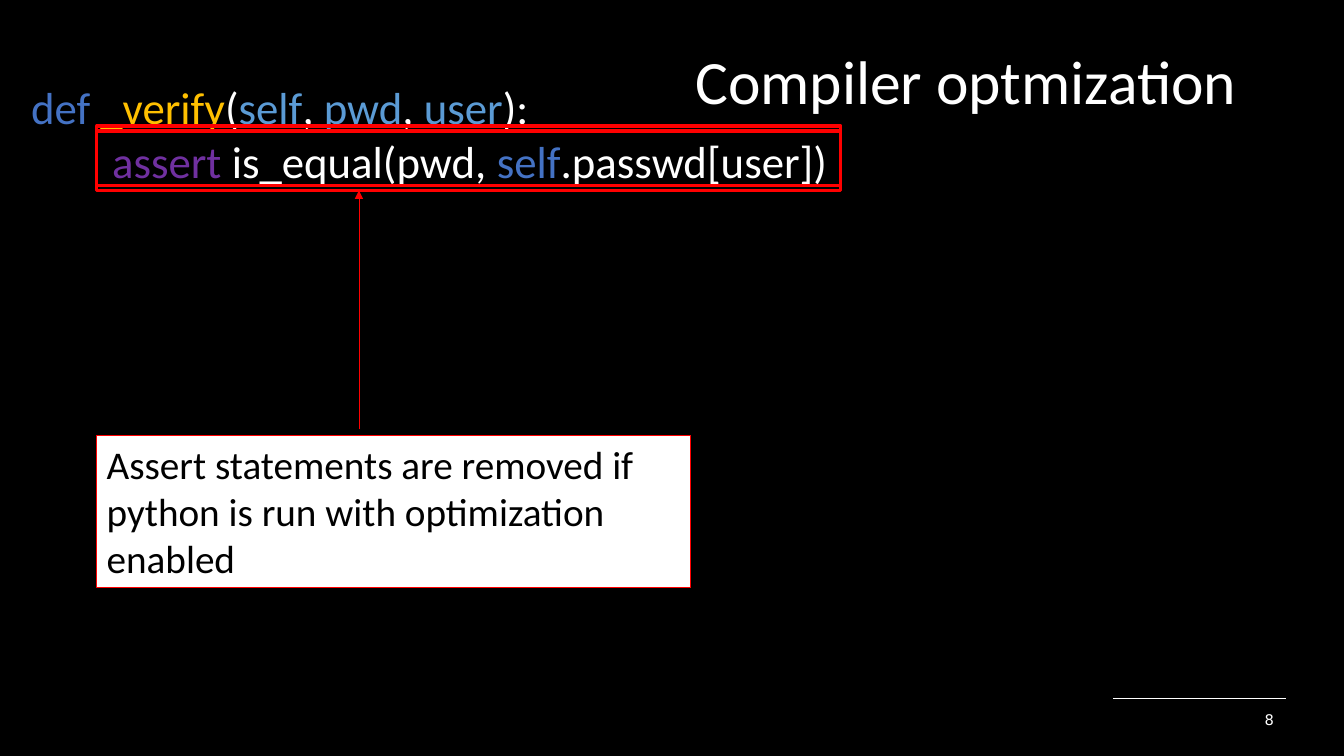
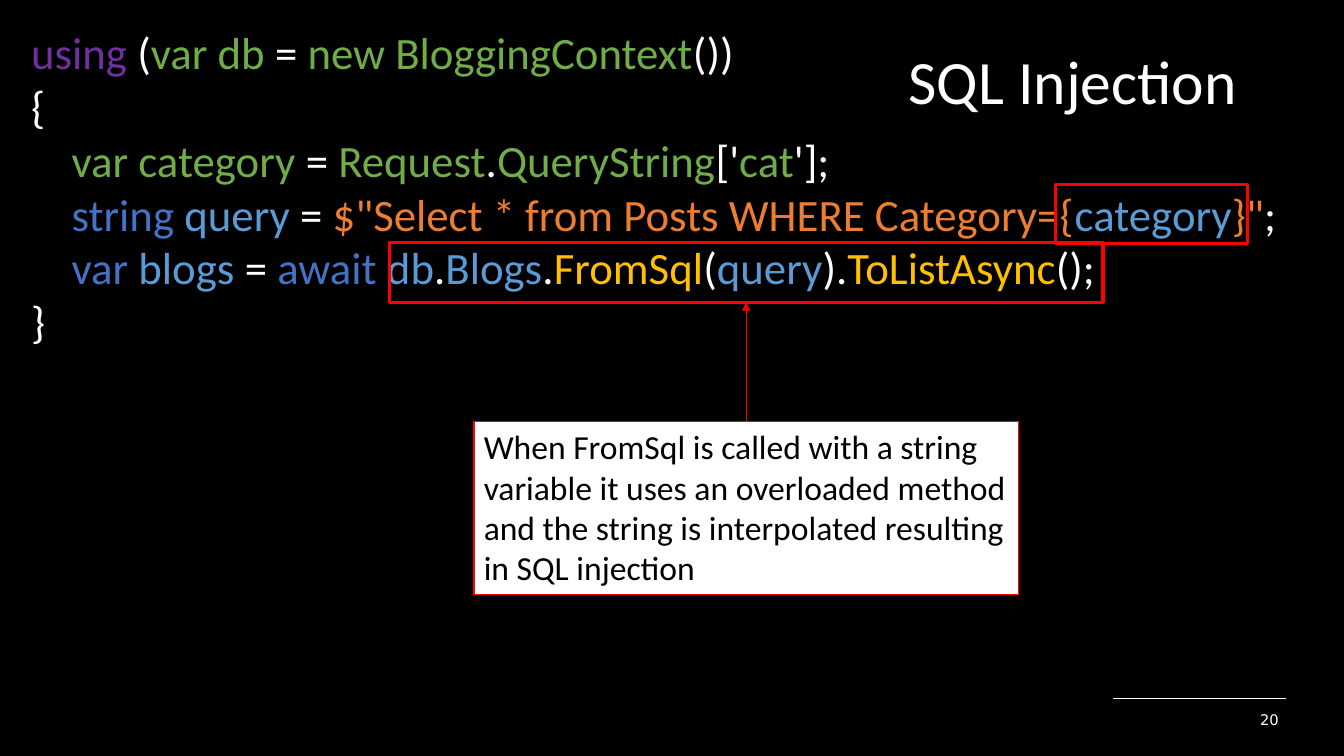
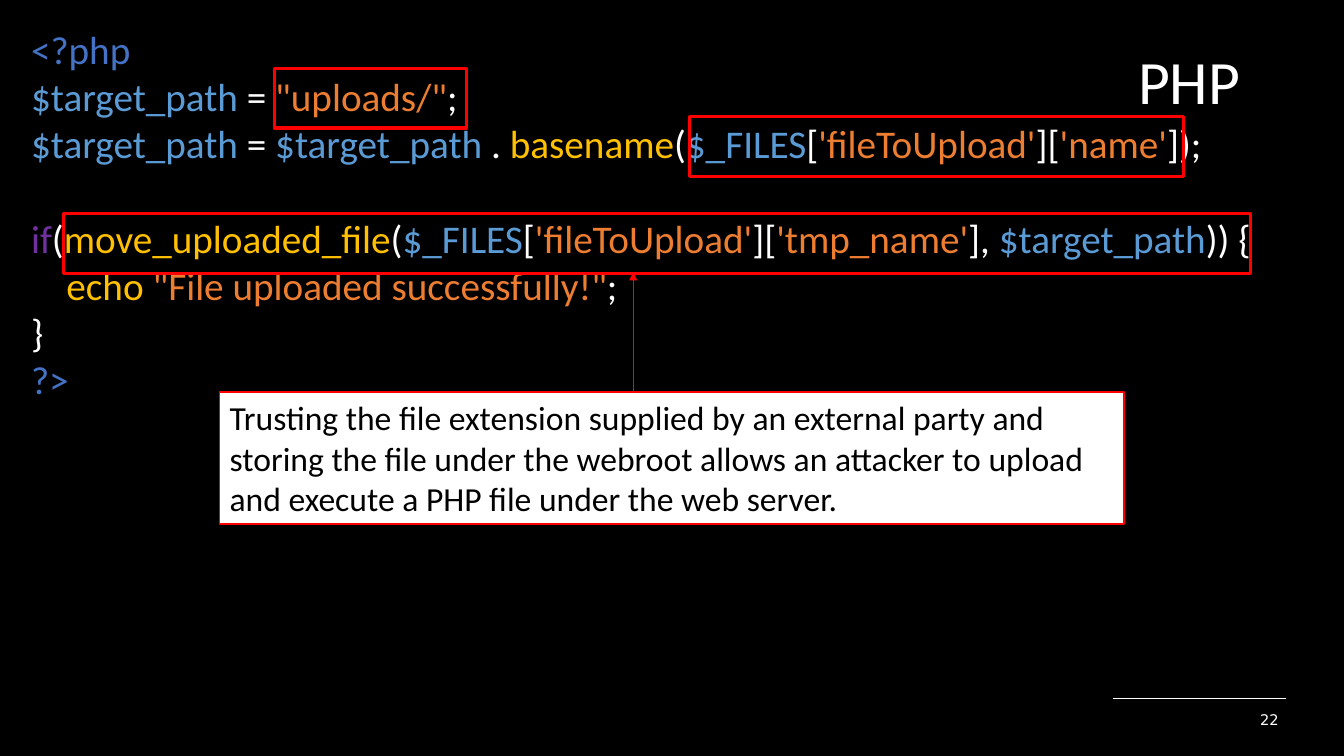
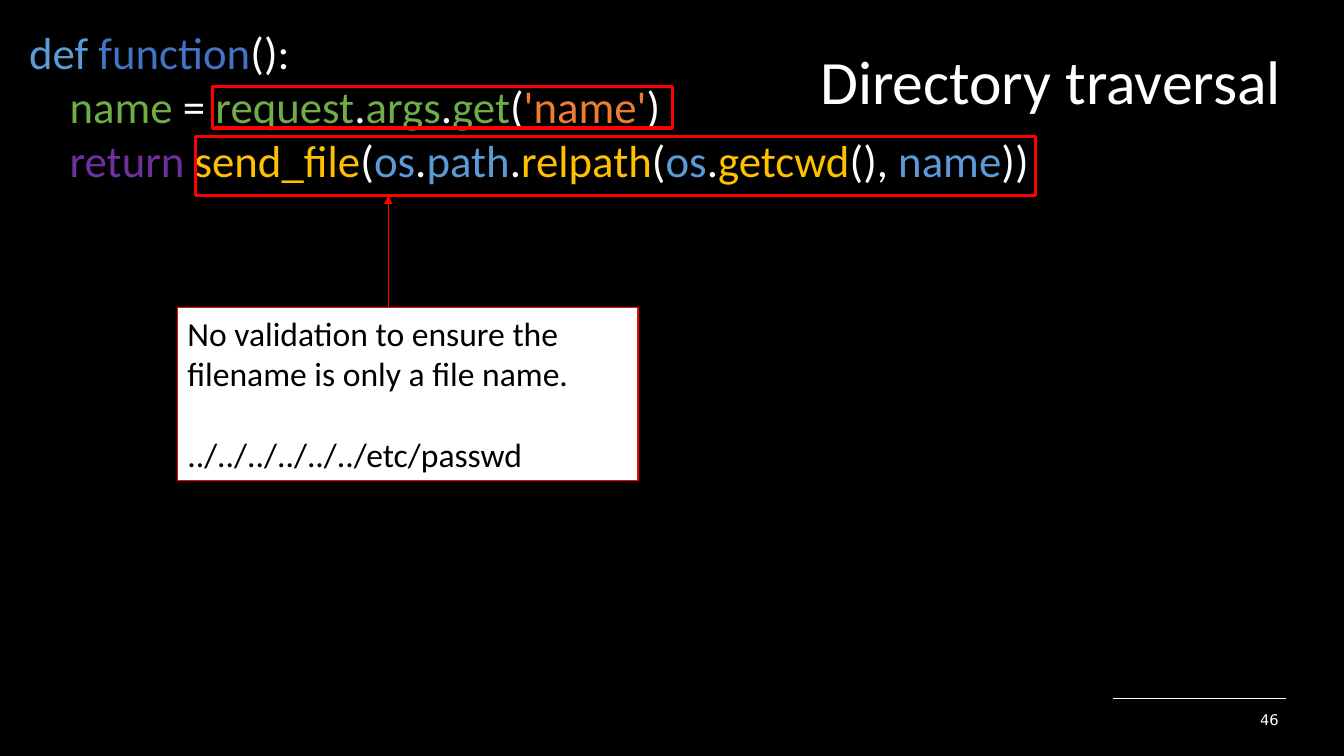
from lxml.etree import SubElement
from pptx import Presentation
from pptx.dml.color import RGBColor
from pptx.enum.shapes import MSO_CONNECTOR, MSO_SHAPE
from pptx.enum.text import MSO_ANCHOR, MSO_AUTO_SIZE, PP_ALIGN
from pptx.oxml.ns import qn
from pptx.util import Inches, Pt

COLORS = {
    "black": "000000", "white": "FFFFFF", "red": "FF0000", "blue": "4472C4",
    "sky": "5B9BD5", "gold": "FFC000", "plum": "7030A0", "green": "70AD47",
    "orange": "ED7D31",
}
FONT = "Calibri"
LINE = 1.22    # line height in ems
SPACE = 0.226  # width of a space in ems

# Code and note lines: (indent in spaces, empty lines before, runs).
# Boxes and notes: (left, top, width, height). Arrows: (x, from y, to y).
SLIDES = [
    {
        "title": "Compiler optmization", "left": 6.25, "page": "8",
        "at": (0.21, 0.74, 12.96, 1.18), "size": 32,
        "code": [
            (0, 0, [("blue", "def "), ("gold", "_verify"), ("white", "("),
                    ("sky", "self"), ("white", ", "), ("sky", "pwd"),
                    ("white", ", "), ("sky", "user"), ("white", "):")]),
            (8, 0, [("plum", "assert "), ("white", "is_equal(pwd, "),
                    ("blue", "self"), ("white", ".passwd[user])")]),
        ],
        "boxes": [(0.96, 1.3, 7.38, 0.59), (0.96, 1.25, 7.38, 0.59)],
        "note": (0.96, 4.32, 5.89, 1.51), "note_size": 28,
        "words": [(0, 0, [("black", "Assert statements are removed if python "
                                    "is run with optimization enabled")])],
        "arrow": (3.56, 4.26, 1.89),
    },
    {
        "title": "SQL Injection", "left": 6.25, "page": "20",
        "at": (0.21, 0.2, 12.96, 3.33), "size": 32,
        "code": [
            (0, 0, [("plum", "using"), ("white", " ("), ("green", "var db"),
                    ("white", " = "), ("green", "new BloggingContext"),
                    ("white", "())")]),
            (0, 0, [("white", "{")]),
            (4, 0, [("green", "var category"), ("white", " = "),
                    ("green", "Request"), ("white", "."),
                    ("green", "QueryString"), ("white", "['"),
                    ("green", "cat"), ("white", "'];")]),
            (4, 0, [("blue", "string "), ("sky", "query"), ("white", " = "),
                    ("orange", '$"Select * from Posts WHERE Category={'),
                    ("sky", "category"), ("orange", '}"'), ("white", ";")]),
            (4, 0, [("blue", "var "), ("sky", "blogs"), ("white", " = "),
                    ("blue", "await "), ("sky", "db"), ("white", "."),
                    ("sky", "Blogs"), ("white", "."), ("gold", "FromSql"),
                    ("white", "("), ("sky", "query"), ("white", ")."),
                    ("gold", "ToListAsync"), ("white", "();")]),
            (0, 0, [("white", "}")]),
        ],
        "boxes": [(3.86, 2.41, 7.08, 0.59), (10.47, 1.83, 1.9, 0.59)],
        "note": (4.7, 4.18, 5.4, 1.72), "note_size": 24,
        "words": [(0, 0, [("black", "When FromSql is called with a string "
                                    "variable it uses an overloaded method "
                                    "and the string is interpolated resulting "
                                    "in SQL injection")])],
        "arrow": (7.4, 4.18, 3),
    },
    {
        "title": "PHP", "left": 6.28, "page": "22",
        "at": (0.21, 0.2, 12.96, 3.87), "size": 28,
        "code": [
            (0, 0, [("blue", "<?php")]),
            (0, 0, [("sky", "$target_path"), ("white", " = "),
                    ("orange", '"uploads/"'), ("white", ";")]),
            (0, 0, [("sky", "$target_path"), ("white", " = "),
                    ("sky", "$target_path "), ("white", ". "),
                    ("gold", "basename"), ("white", "("), ("sky", "$_FILES"),
                    ("white", "["), ("orange", "'fileToUpload'"),
                    ("white", "]["), ("orange", "'name'"), ("white", "]);")]),
            (0, 1, [("plum", "if"), ("white", "("),
                    ("gold", "move_uploaded_file"), ("white", "("),
                    ("sky", "$_FILES"), ("white", "["),
                    ("orange", "'fileToUpload'"), ("white", "]["),
                    ("orange", "'tmp_name'"), ("white", "], "),
                    ("sky", "$target_path"), ("white", ")) {")]),
            (4, 0, [("gold", "echo "),
                    ("orange", '"File uploaded successfully!"'),
                    ("white", ";")]),
            (0, 0, [("white", "}")]),
            (0, 0, [("blue", "?>")]),
        ],
        "boxes": [(0.63, 2.12, 11.77, 0.59), (6.84, 1.16, 4.9, 0.59),
                  (2.72, 0.68, 1.91, 0.59)],
        "note": (2.18, 3.89, 8.97, 1.31), "note_size": 24,
        "words": [(0, 0, [("black", "Trusting the file extension supplied by "
                                    "an external party and storing the file "
                                    "under the webroot allows an attacker to "
                                    "upload and execute a PHP file under the "
                                    "web server.")])],
        "arrow": (6.28, 3.89, 2.7),
    },
    {
        "title": "Directory traversal", "left": 6.69, "page": "46",
        "at": (0.19, 0.2, 12.96, 1.72), "size": 32,
        "code": [
            (0, 0, [("sky", "def "), ("blue", "function"), ("white", "():")]),
            (4, 0, [("green", "name"), ("white", " = "), ("green", "request"),
                    ("white", "."), ("green", "args"), ("white", "."),
                    ("green", "get"), ("white", "("), ("orange", "'name'"),
                    ("white", ")")]),
            (4, 0, [("plum", "return "), ("gold", "send_file"), ("white", "("),
                    ("sky", "os"), ("white", "."), ("sky", "path"),
                    ("white", "."), ("gold", "relpath"), ("white", "("),
                    ("sky", "os"), ("white", "."), ("gold", "getcwd"),
                    ("white", "(), "), ("sky", "name"), ("white", "))")]),
        ],
        "boxes": [(1.94, 1.35, 8.33, 0.59), (2.11, 0.86, 4.56, 0.41)],
        "note": (1.76, 3.05, 4.57, 1.72), "note_size": 24,
        "words": [
            (0, 0, [("black", "No validation to ensure the filename is only "
                              "a file name.")]),
            (0, 1, [("black", "../../../../../../etc/passwd")]),
        ],
        "arrow": (3.85, 3.05, 1.94),
    },
]


def color(name):
    return RGBColor.from_string(COLORS[name])


def inches(*values):
    return [Inches(v) for v in values]


def write(frame, lines, size, font=FONT, align=PP_ALIGN.LEFT):
    frame.word_wrap = True
    frame.vertical_anchor = MSO_ANCHOR.TOP
    for i, (indent, gap, runs) in enumerate(lines):
        para = frame.add_paragraph() if i else frame.paragraphs[0]
        para.alignment = align
        if indent:
            para._p.get_or_add_pPr().set("marL", str(Pt(indent * SPACE * size)))
        if gap:
            para.space_before = Pt(gap * LINE * size)
        for name, text in runs:
            run = para.add_run()
            run.text = text
            run.font.name = font
            run.font.size = Pt(size)
            run.font.color.rgb = color(name)


def add_text(slide, at, *args):
    frame = slide.shapes.add_textbox(*inches(*at)).text_frame
    write(frame, *args)
    return frame


def add_title(slide, text, left):
    title = slide.shapes.title
    title.left, title.top, title.width, title.height = inches(
        left, 0.46, 6.12, 1.1)
    frame = title.text_frame
    frame.auto_size = MSO_AUTO_SIZE.NONE
    write(frame, [(0, 0, [("white", text)])], 44, FONT, PP_ALIGN.RIGHT)
    frame.paragraphs[0].line_spacing = 0.9


def add_box(slide, at, width, fill=None):
    box = slide.shapes.add_shape(MSO_SHAPE.RECTANGLE, *inches(*at))
    box.shadow.inherit = False
    box.line.color.rgb = color("red")
    box.line.width = Pt(width)
    if fill:
        box.fill.solid()
        box.fill.fore_color.rgb = color(fill)
    else:
        box.fill.background()
    return box


def add_line(slide, start, end, name):
    line = slide.shapes.add_connector(
        MSO_CONNECTOR.STRAIGHT, *inches(*start, *end))
    line.line.color.rgb = color(name)
    line.line.width = Pt(0.5)
    SubElement(line._element.spPr, qn("a:effectLst"))
    return line


def add_arrow(slide, spot, note, box):
    x, low, high = spot
    arrow = add_line(slide, (x, low), (x, high), "red")
    SubElement(arrow.line._get_or_add_ln(), qn("a:tailEnd"), type="triangle")
    # Join the arrow where it meets the middle of a side
    near = Inches(0.01)
    if abs(note.left + note.width / 2 - Inches(x)) < near:
        arrow.begin_connect(note, 0)
    if abs(box.left + box.width / 2 - Inches(x)) < near:
        arrow.end_connect(box, 2)


def add_footer(slide, page):
    add_line(slide, (11.04, 6.93), (12.75, 6.93), "white")
    frame = add_text(slide, (12.31, 6.99, 0.56, 0.3),
                     [(0, 0, [("white", page)])], 10.5, "DejaVu Sans",
                     PP_ALIGN.CENTER)
    frame.vertical_anchor = MSO_ANCHOR.MIDDLE


def add_slide(deck, data):
    slide = deck.slides.add_slide(deck.slide_layouts[5])
    add_footer(slide, data["page"])
    add_text(slide, data["at"], data["code"], data["size"])
    add_title(slide, data["title"], data["left"])
    boxes = [add_box(slide, at, 2.25) for at in data["boxes"]]
    note = add_box(slide, data["note"], 1, "white")
    write(note.text_frame, data["words"], data["note_size"])
    add_arrow(slide, data["arrow"], note, boxes[0])


def main():
    deck = Presentation()
    deck.slide_width, deck.slide_height = inches(13.33, 7.5)
    back = deck.slide_master.background.fill
    back.solid()
    back.fore_color.rgb = color("black")
    for data in SLIDES:
        add_slide(deck, data)
    deck.save("out.pptx")


if __name__ == "__main__":
    main()
